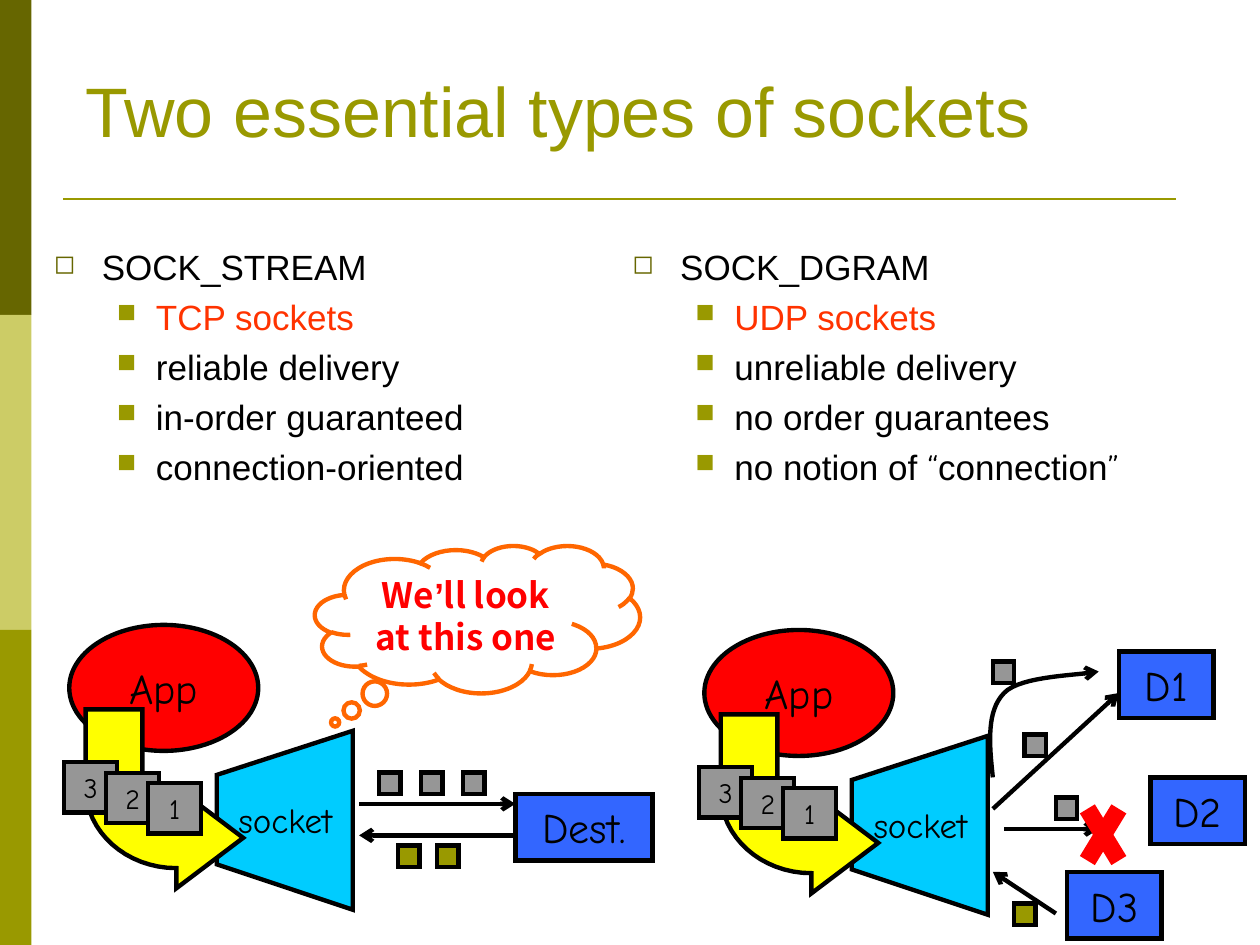
import pptx
import pptx.util
import pptx.dml.color
import pptx.enum.shapes
import pptx.enum.text
import pptx.oxml
import pptx.oxml.ns

Pt = pptx.util.Pt
KIND = pptx.enum.shapes.MSO_SHAPE
ALIGN = pptx.enum.text.PP_ALIGN
ANCHOR = pptx.enum.text.MSO_ANCHOR
HAND = "Comic Neue"
HEX = {
    "black": "000000", "olive": "999900", "dark": "666600", "pale": "CCCC66",
    "red": "FF0000", "coral": "FF3300", "amber": "FF6600", "gray": "969696",
    "blue": "3366FF", "cyan": "00CCFF", "yellow": "FFFF00",
}


def node(tag, **vals):
    """Make one DrawingML element."""
    item = pptx.oxml.parse_xml(f"<a:{tag} {pptx.oxml.ns.nsdecls('a')}/>")
    for key, val in vals.items():
        item.set(key, str(val))
    return item


def bend(a, b, c, d, steps=16):
    """Points along a cubic curve, without its start."""
    for i in range(1, steps + 1):
        t = i / steps
        u = 1 - t
        yield tuple(u**3 * p + 3 * u * u * t * q + 3 * u * t * t * r + t**3 * s
                    for p, q, r, s in zip(a, b, c, d))


class Board:
    """Draws on a grid of 10 columns by 7.5 rows."""

    def __init__(self, cols=10, rows=7.5):
        self.deck = pptx.Presentation()
        self.deck.slide_width, self.deck.slide_height = self.grid(cols, rows)
        self.slide = self.deck.slides.add_slide(self.deck.slide_layouts[5])
        self.shapes = self.slide.shapes

    def grid(self, *cells):
        return [pptx.util.Inches(c) for c in cells]

    def color(self, name):
        return pptx.dml.color.RGBColor.from_string(HEX[name])

    def apply(self, item, vals):
        for key, val in vals.items():
            setattr(item, key, val)

    def pen(self, shape, color="black", width=2.5, arrow=False):
        shape.line.color.rgb = self.color(color)
        shape.line.width = Pt(width)
        edge = shape.element.spPr.find(pptx.oxml.ns.qn("a:ln"))
        edge.append(node("miter", lim=800000))
        if arrow:
            edge.append(node("tailEnd", type="arrow"))

    def paint(self, shape, fill, edge="black"):
        shape.shadow.inherit = False
        if fill:
            shape.fill.solid()
            shape.fill.fore_color.rgb = self.color(fill)
        else:
            shape.fill.background()
        if edge:
            self.pen(shape, edge)
        else:
            shape.line.fill.background()

    def run(self, para, text, color="black", **font):
        run = para.add_run()
        run.text = text
        self.apply(run.font, {"name": "Arial", "size": Pt(20), **font})
        run.font.color.rgb = self.color(color)

    def label(self, shape, text, size):
        frame = shape.text_frame
        self.apply(frame, {"word_wrap": True, "vertical_anchor": ANCHOR.MIDDLE})
        para = frame.paragraphs[0]
        para.alignment = ALIGN.CENTER
        self.run(para, text, name=HAND, size=Pt(size))

    def shape(self, box, fill, text="", size=24, kind=KIND.RECTANGLE, edge="black"):
        shape = self.shapes.add_shape(kind, *self.grid(*box))
        self.paint(shape, fill, edge)
        if text:
            self.label(shape, text, size)
        return shape

    def text(self, box, text, size):
        self.label(self.shapes.add_textbox(*self.grid(*box)), text, size)

    def line(self, ends, color="black", width=2.5, arrow=True):
        line = self.shapes.add_connector(
            pptx.enum.shapes.MSO_CONNECTOR.STRAIGHT, *self.grid(*ends))
        self.pen(line, color, width, arrow)
        line.element.spPr.append(node("effectLst"))

    def free(self, points, fill=None, close=True):
        start, *rest = [self.grid(*p) for p in points]
        form = self.shapes.build_freeform(*start, scale=1)
        form.add_line_segments(rest, close=close)
        shape = form.convert_to_shape()
        self.paint(shape, fill, None if not close else "black")
        if not close:
            self.pen(shape, arrow=True)

    def title(self, box, text):
        title = self.shapes.title
        self.apply(title, dict(zip(("left", "top", "width", "height"), self.grid(*box))))
        self.apply(title.text_frame, {"word_wrap": True, "vertical_anchor": ANCHOR.BOTTOM})
        para = title.text_frame.paragraphs[0]
        para.alignment = ALIGN.LEFT
        self.run(para, text, "olive", size=Pt(40))

    def bullets(self, box, items):
        frame = self.shapes.add_textbox(*self.grid(*box)).text_frame
        frame.word_wrap = True
        for i, runs in enumerate(items):
            para = frame.paragraphs[0] if i == 0 else frame.add_paragraph()
            para.space_before = Pt(4.5)
            left, hang, mark, tint = (
                (0.81, 0.31, "■", "olive") if i else (0.38, 0.38, "◻", "dark"))
            props = para._p.get_or_add_pPr()
            props.set("marL", str(pptx.util.Inches(left)))
            props.set("indent", str(-pptx.util.Inches(hang)))
            color = node("buClr")
            color.append(node("srgbClr", val=HEX[tint]))
            for item in (color, node("buSzPct", val=75000), node("buChar", char=mark)):
                props.append(item)
            for text, name in runs:
                self.run(para, text, "coral" if i == 1 else "black", name=name)

    def packet(self, x, y, fill="gray"):
        self.shape((x, y, 0.17, 0.17), fill)

    def sender(self, x, y):
        """App, socket and the arrow carrying numbered packets between them."""
        def move(points):
            return [(x + a, y + b) for a, b in points]

        self.shape((x + 0.04, y, 1.5, 1), "red", kind=KIND.OVAL)
        self.text((x, y + 0.25, 1.58, 0.5), "App", 24)
        self.free(move([(2.29, 0.84), (1.21, 1.19), (1.21, 1.9), (2.29, 2.26)]), "cyan")
        self.text((x + 0.84, y + 1.33, 1.83, 0.43), "socket", 20)
        outer = bend((0.89, 1.93), (0.49, 1.93), (0.17, 1.64), (0.17, 1.29))
        inner = bend((0.62, 1.29), (0.62, 1.37), (0.74, 1.44), (0.89, 1.44))
        self.free(move([(1.42, 1.69), (0.89, 2.09), (0.89, 1.93), *outer,
                        (0.17, 0.67), (0.62, 0.67), (0.62, 1.29), *inner,
                        (0.89, 1.29)]), "yellow")
        for i, text in enumerate("321"):
            self.shape((x + i / 3, y + 1.09 + i / 12, 0.42, 0.4), "gray", text, 16)


def main():
    board = Board()

    # Side bars, title and rule
    for i, fill in enumerate(("dark", "pale", "olive")):
        board.shape((0, 2.5 * i, 0.25, 2.5), fill, edge=None)
    board.title((0.58, 0, 8.5, 1.25), "Two essential types of sockets")
    board.line((0.5, 1.58, 9.33, 1.58), "olive", 1.5, arrow=False)

    # Two lists
    stream = ("SOCK_STREAM", "TCP sockets", "reliable delivery",
              "in-order guaranteed", "connection-oriented")
    dgram = ("SOCK_DGRAM", "UDP sockets", "unreliable delivery", "no order guarantees")
    plain = [[[(text, "Arial")] for text in col] for col in (stream, dgram)]
    plain[1].append([("no notion of ", "Arial"), ("“", HAND),
                     ("connection", "Arial"), ("”", HAND)])
    board.bullets((0.33, 1.9, 4.17, 5.08), plain[0])
    board.bullets((4.92, 1.9, 4.75, 5.08), plain[1])

    # Stream: one destination, both ways
    board.sender(0.51, 4.96)
    for i in range(3):
        board.packet(3.01 + i / 3, 6.13)
    board.line((2.85, 6.38, 4.09, 6.38))
    board.shape((4.09, 6.3, 1.09, 0.53), "blue", "Dest.")
    board.line((4.09, 6.63, 2.85, 6.63))
    for x in (3.16, 3.47):
        board.packet(x, 6.71, "olive")

    # Datagram: many destinations
    board.sender(5.55, 5)
    for x, y in ((7.88, 5.25), (8.13, 5.83), (8.38, 6.33)):
        board.packet(x, y)
    board.line((7.88, 6.42, 8.88, 5.5))
    for text, x, y in (("D1", 8.88, 5.17), ("D3", 8.47, 6.92), ("D2", 9.13, 6.17)):
        board.shape((x, y, 0.75, 0.53), "blue", text)
    rise = bend((7.88, 6.17), (7.85, 5.9), (7.83, 5.64), (7.97, 5.5))
    run = bend((7.97, 5.5), (8.1, 5.36), (8.59, 5.36), (8.72, 5.33))
    board.free([(7.88, 6.17), *rise, *run], close=False)
    board.line((7.97, 6.58, 8.72, 6.58))
    for a, b in ((8.63, 8.88), (8.88, 8.63)):
        board.line((a, 6.42, b, 6.83), "red", 10, arrow=False)
    board.line((8.38, 7.25, 7.88, 6.92))
    board.packet(8.05, 7.17, "olive")

    # Thought cloud
    cloud = board.shape((2.5, 4.33, 2.58, 1.17), None,
                        kind=KIND.CLOUD_CALLOUT, edge="amber")
    cloud.adjustments[0], cloud.adjustments[1] = -0.438, 0.7
    board.apply(cloud.text_frame, {"word_wrap": True, "vertical_anchor": ANCHOR.MIDDLE})
    para = cloud.text_frame.paragraphs[0]
    para.alignment = ALIGN.CENTER
    cjk = "Noto Sans CJK KR"
    for text, name in (("We", cjk), ("’", "Arial"), ("ll look at this one", cjk)):
        board.run(para, text, "red", name=name, bold=True)

    board.deck.save("out.pptx")


if __name__ == "__main__":
    main()
